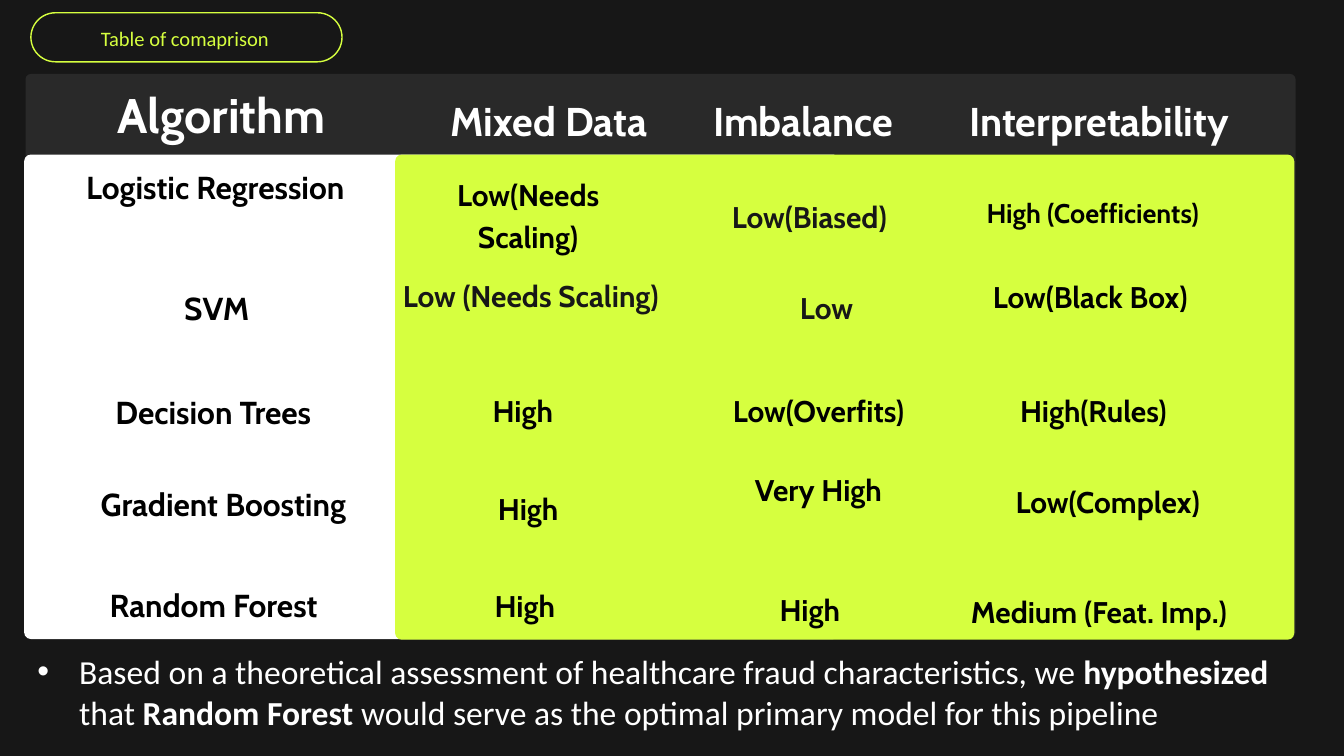
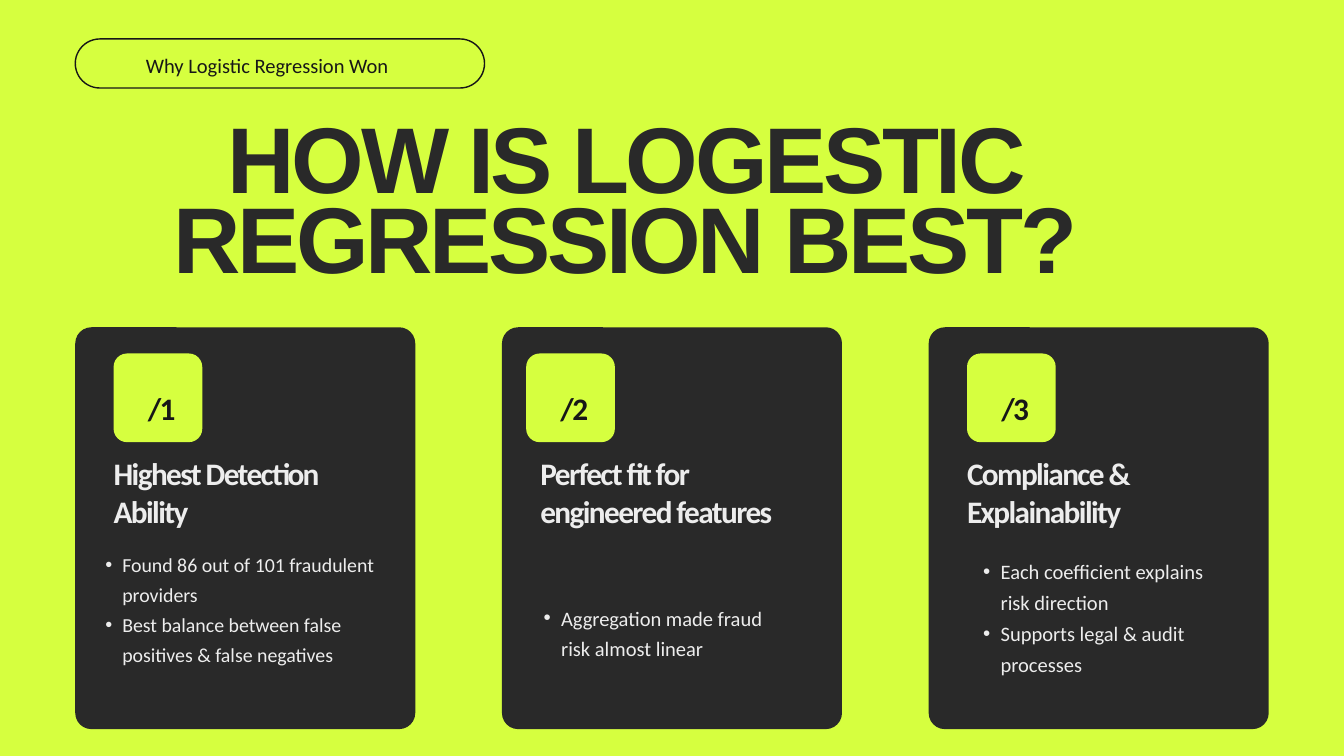
from dataclasses import dataclass
from typing import NamedTuple

from lxml.etree import SubElement
from pptx import Presentation
from pptx.dml.color import RGBColor
from pptx.enum.shapes import MSO_SHAPE as Shape
from pptx.enum.text import MSO_AUTO_SIZE as AutoSize, PP_ALIGN as Align
from pptx.oxml.ns import qn
from pptx.util import Inches, Pt

LIME = RGBColor(0xD6, 0xFF, 0x3F)
INK = RGBColor(0x17, 0x17, 0x17)
CHARCOAL = RGBColor(0x29, 0x29, 0x29)
MIST = RGBColor(0xED, 0xED, 0xED)
WHITE = RGBColor(0xFF, 0xFF, 0xFF)
BLACK = RGBColor(0x00, 0x00, 0x00)

TABLE_FONT = "Cabin"
BODY_FONT = "Calibri"
TITLE_FONT = "Arial"

CARD_LEFT = 1.12
CARD_STEP = 6.35
CARD_PADDING = 0.57


class Box(NamedTuple):
    left: float
    top: float
    width: float
    height: float

    def lengths(self) -> list:
        return [Inches(value) for value in self]


@dataclass
class Panel:
    box: Box
    color: RGBColor
    radius: float


@dataclass
class Cell:
    text: str
    box: Box
    size: float = 32
    color: RGBColor = BLACK


@dataclass
class Card:
    heading: str
    heading_height: float
    points: str
    points_box: Box
    points_size: float = 22
    hanging: float = 0.26
    badge_shift: float = 0


PANELS = [
    Panel(Box(0.38, 1.1, 18.9, 8.39), CHARCOAL, 0.08),
    Panel(Box(0.36, 2.3, 12.14, 7.21), WHITE, 0.1),
    Panel(Box(5.88, 2.3, 13.38, 7.22), LIME, 0.1),
]

HEADERS = [
    Cell("Algorithm", Box(1.17, 1.12, 4.25, 0.97), 52, WHITE),
    Cell("Mixed Data", Box(6.43, 1.31, 3.48, 0.81), 43, WHITE),
    Cell("Imbalance", Box(10.42, 1.31, 3.06, 0.81), 43, WHITE),
    Cell("Interpretability", Box(13.96, 1.31, 4.79, 0.81), 43, WHITE),
]

ROWS = [
    [
        Cell("Logistic Regression", Box(0.99, 2.41, 4.43, 0.63), 34),
        Cell("Low(Needs Scaling)", Box(6.43, 2.54, 2.86, 1.21)),
        Cell("Low(Biased)", Box(10.56, 2.87, 2.97, 0.59), color=INK),
        Cell("High (Coefficients)", Box(14.42, 2.84, 3.68, 1.09), 28.9),
    ],
    [
        Cell("SVM", Box(2.33, 4.21, 1.79, 0.63), 34),
        Cell("Low (Needs Scaling)", Box(5.97, 4.04, 3.86, 1.2), color=INK),
        Cell("Low", Box(11.76, 4.22, 1.08, 0.59), color=INK),
        Cell("Low(Black Box)", Box(14.57, 4.06, 3.31, 0.59)),
    ],
    [
        Cell("Decision Trees", Box(1.34, 5.75, 3.67, 0.63), 34),
        Cell("High", Box(6.96, 5.75, 1.64, 1.22)),
        Cell("Low(Overfits)", Box(10.64, 5.75, 3.08, 0.59)),
        Cell("High(Rules)", Box(14.95, 5.75, 2.64, 0.59)),
    ],
    [
        Cell("Gradient Boosting", Box(0.94, 7.12, 4.77, 0.63), 34),
        Cell("High", Box(7.17, 7.21, 1.38, 1.22)),
        Cell("Very High", Box(11.13, 6.93, 2.1, 0.59)),
        Cell("Low(Complex)", Box(14.77, 7.11, 3.43, 0.59)),
    ],
    [
        Cell("Random Forest", Box(1.18, 8.62, 4, 0.63), 34),
        Cell("High", Box(6.99, 8.65, 1.64, 1.22)),
        Cell("High", Box(11.29, 8.72, 1.52, 0.59)),
        Cell("Medium (Feat. Imp.)", Box(14.12, 8.74, 4.47, 0.59)),
    ],
]

HYPOTHESIS = (
    "Based on a theoretical assessment of healthcare fraud characteristics, we "
    "**hypothesized** that **Random Forest** would serve as the optimal primary "
    "model for this pipeline"
)

CARDS = [
    Card(
        "Highest Detection Ability", 1.11,
        "Found 86 out of 101 fraudulent providers\n"
        "Best balance between false positives & false negatives",
        Box(1.32, 8.14, 4.66, 2.16), points_size=21.3, hanging=0.25,
    ),
    Card(
        "Perfect fit for engineered features", 1.66,
        "Aggregation made fraud risk almost linear",
        Box(7.83, 8.92, 3.92, 0.87), badge_shift=-0.21,
    ),
    Card(
        "Compliance & Explainability", 1.11,
        "Each coefficient explains risk direction\nSupports legal & audit processes",
        Box(14.37, 8.23, 3.92, 2.21),
    ),
]


def add_bullet(paragraph, margin: float, hanging: float) -> None:
    properties = paragraph._p.get_or_add_pPr()
    properties.set("marL", str(Inches(margin)))
    properties.set("indent", str(-Inches(hanging)))
    SubElement(properties, qn("a:buFont")).set("typeface", "Arial")
    SubElement(properties, qn("a:buChar")).set("char", "•")


def add_text(slide, text: str, box: Box, *, size: float, color: RGBColor,
             font: str = BODY_FONT, bold: bool = False, align: Align = Align.LEFT,
             leading: float = 0, tracking: float = 0, margin: float = 0,
             hanging: float = 0, inset: bool = False) -> None:
    frame = slide.shapes.add_textbox(*box.lengths()).text_frame
    frame.word_wrap = True
    frame.auto_size = AutoSize.SHAPE_TO_FIT_TEXT
    if not inset:
        frame.margin_left = frame.margin_right = 0
        frame.margin_top = frame.margin_bottom = 0
    for number, line in enumerate(text.split("\n")):
        paragraph = frame.add_paragraph() if number else frame.paragraphs[0]
        paragraph.alignment = align
        if leading:
            paragraph.line_spacing = Pt(round(size * leading, 1))
        if hanging:
            add_bullet(paragraph, margin, hanging)
        for index, part in enumerate(line.split("**")):
            run = paragraph.add_run()
            run.text = part
            run.font.name = font
            run.font.size = Pt(size)
            run.font.bold = bold or index % 2 == 1
            run.font.color.rgb = color
            if tracking:
                run._r.get_or_add_rPr().set("spc", str(round(tracking * 100)))


def add_rounded(slide, box: Box, radius: float):
    shape = slide.shapes.add_shape(Shape.ROUNDED_RECTANGLE, *box.lengths())
    shape.shadow.inherit = False
    shape.adjustments[0] = radius / min(box.width, box.height)
    return shape


def add_panel(slide, panel: Panel) -> None:
    shape = add_rounded(slide, panel.box, panel.radius)
    shape.fill.solid()
    shape.fill.fore_color.rgb = panel.color
    shape.line.fill.background()


def add_tag(slide, text: str, pill: Box, label: Box, color: RGBColor) -> None:
    shape = add_rounded(slide, pill, pill.height / 2)
    shape.fill.background()
    shape.line.color.rgb = color
    shape.line.width = Pt(1.5)
    add_text(slide, text, label, size=22, color=color, leading=1.4)


def add_cell(slide, cell: Cell) -> None:
    add_text(slide, cell.text, cell.box, size=cell.size, color=cell.color,
             font=TABLE_FONT, bold=True, align=Align.CENTER, leading=1.4)


def add_card(slide, index: int, card: Card) -> None:
    left = CARD_LEFT + index * CARD_STEP
    content_left = left + CARD_PADDING
    badge_left = content_left + card.badge_shift
    label = dict(size=33.5, bold=True, leading=1.2, tracking=-1.7)
    add_panel(slide, Panel(Box(left, 4.87, 5.06, 5.98), CHARCOAL, 0.24))
    add_panel(slide, Panel(Box(badge_left, 5.26, 1.32, 1.32), LIME, 0.2))
    add_text(slide, f"/{index + 1}", Box(badge_left + 0.51, 5.79, 0.69, 0.56),
             color=INK, **label)
    add_text(slide, card.heading, Box(content_left, 6.76, 3.92, card.heading_height),
             color=MIST, **label)
    add_text(slide, card.points, card.points_box, size=card.points_size, color=MIST,
             leading=1.5, margin=2 * card.hanging, hanging=card.hanging)


def add_slide(presentation, background: RGBColor):
    slide = presentation.slides.add_slide(presentation.slide_layouts[6])
    slide.background.fill.solid()
    slide.background.fill.fore_color.rgb = background
    return slide


def build_comparison(presentation) -> None:
    slide = add_slide(presentation, INK)
    add_tag(slide, "Table of comaprison", Box(0.46, 0.19, 4.63, 0.73),
            Box(1.5, 0.33, 3.59, 0.41), LIME)
    for panel in PANELS:
        add_panel(slide, panel)
    for row in [HEADERS, *ROWS]:
        for cell in row:
            add_cell(slide, cell)
    add_text(slide, HYPOTHESIS, Box(0.46, 9.64, 19.4, 1.31), size=36, color=WHITE,
             margin=0.62, hanging=0.62, inset=True)


def build_reasons(presentation) -> None:
    slide = add_slide(presentation, LIME)
    add_tag(slide, "Why Logistic Regression Won", Box(1.12, 0.58, 6.09, 0.73),
            Box(2.17, 0.72, 4.95, 0.41), INK)
    add_text(slide, "HOW IS LOGESTIC REGRESSION BEST?", Box(0.45, 1.96, 17.7, 2.73),
             size=100, color=CHARCOAL, font=TITLE_FONT, bold=True,
             align=Align.CENTER, leading=0.86, tracking=-3.6)
    for index, card in enumerate(CARDS):
        add_card(slide, index, card)


def main() -> None:
    presentation = Presentation()
    presentation.slide_width = Inches(20)
    presentation.slide_height = Inches(11.25)
    build_comparison(presentation)
    build_reasons(presentation)
    presentation.save("out.pptx")


if __name__ == "__main__":
    main()
